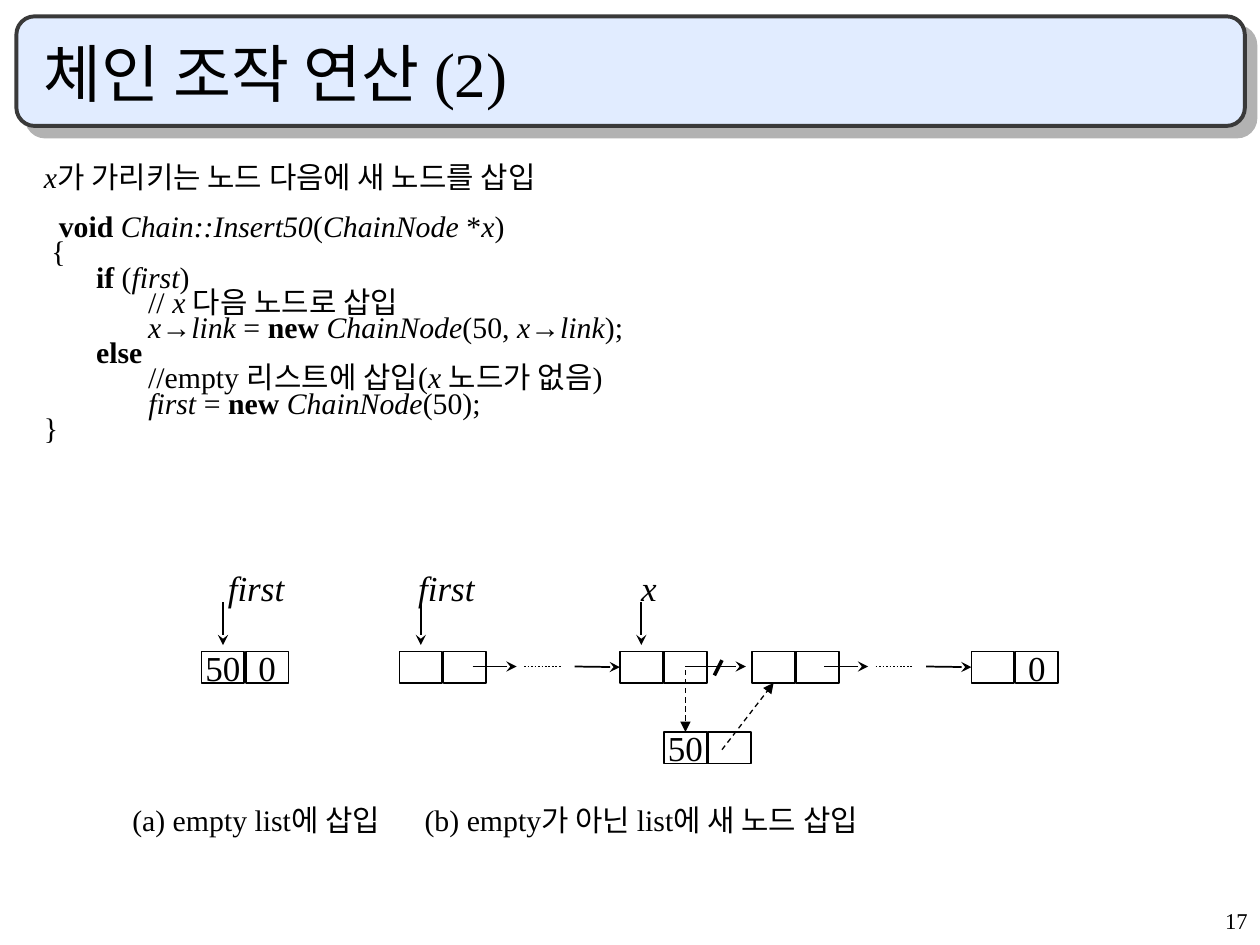
from lxml import etree
from pptx import Presentation, util as u
from pptx.dml.color import RGBColor
from pptx.enum import dml, shapes, text
from pptx.oxml import ns

HUES = {"ink": "000000", "band": "E1ECFF", "edge": "393939", "shade": "B2B2B2"}
FONT = "Times New Roman"
ALIGN = text.PP_ALIGN
STYLES = {"": {}, "b": {"bold": True}, "i": {"italic": True}}


def write(shape, lines, size, frame=None, para=None):
    """Fill a shape; each line is a list of (style, words) runs."""
    box = shape.text_frame
    form = {"word_wrap": True, "vertical_anchor": text.MSO_ANCHOR.TOP}
    for key, val in {**form, **(frame or {})}.items():
        setattr(box, key, val)
    for num, line in enumerate(lines):
        par = box.add_paragraph() if num else box.paragraphs[0]
        for key, val in (para or {}).items():
            if num or key != "space_before":
                setattr(par, key, val)
        for style, words in line:
            run = par.add_run()
            run.text = words
            look = {"name": FONT, "size": u.Pt(size), **STYLES[style]}
            for key, val in look.items():
                setattr(run.font, key, val)
            run.font.color.rgb = RGBColor.from_string(HUES["ink"])
    return box


def link(x1, y1, x2, y2, width=1, head=None, dash=None):
    """Draw a straight line, with an arrowhead if one is named."""
    ends = [u.Inches(val) for val in (x1, y1, x2, y2)]
    line = slide.shapes.add_connector(shapes.MSO_CONNECTOR.STRAIGHT, *ends)
    line.line.width = u.Pt(width)
    line.line.color.rgb = RGBColor.from_string(HUES["ink"])
    if dash:
        line.line.dash_style = dash
    props = line.line._get_or_add_ln()
    if head:
        etree.SubElement(props, ns.qn("a:tailEnd"), type=head)
    etree.SubElement(props.getparent(), ns.qn("a:effectLst"))
    return line


deck = Presentation()
deck.slide_width, deck.slide_height = u.Inches(10), u.Inches(7.5)
slide = deck.slides.add_slide(deck.slide_layouts[6])

# Title band with its shadow
band = slide.shapes.add_shape(
    shapes.MSO_SHAPE.ROUNDED_RECTANGLE,
    u.Inches(0.13), u.Inches(0.13), u.Inches(9.75), u.Inches(0.87))
band.fill.solid()
band.fill.fore_color.rgb = RGBColor.from_string(HUES["band"])
band.line.color.rgb = RGBColor.from_string(HUES["edge"])
band.line.width = u.Pt(2.25)
band.shadow.inherit = False
glow = etree.SubElement(
    band.fill._xPr.find(ns.qn("a:effectLst")), ns.qn("a:outerShdw"),
    dist=str(u.Pt(8.5)), dir="2700000", algn="ctr", rotWithShape="0")
etree.SubElement(glow, ns.qn("a:srgbClr"), val=HUES["shade"])

# Title, page number and diagram labels
CODE = [
    [("i", "x"), ("", "가 가리키는 노드 다음에 새 노드를 삽입")],
    [("", "  "), ("b", "void "), ("i", "Chain::Insert50"), ("", "("),
     ("i", "ChainNode"), ("", " *"), ("i", "x"), ("", ")")],
    [("", " {")],
    [("", "       "), ("b", "if"), ("", " ("), ("i", "first"), ("", ")")],
    [("", "              // "), ("i", "x "), ("", "다음 노드로 삽입")],
    [("i", "              x"), ("", "→"), ("i", "link"), ("", " = "),
     ("b", "new "), ("i", "ChainNode"), ("", "(50, "), ("i", "x→link"),
     ("", ");")],
    [("", "       "), ("b", "else")],
    [("", "              //empty 리스트에 삽입("), ("i", "x "),
     ("", "노드가 없음)")],
    [("", "              "), ("i", "first"), ("", " = "), ("b", "new "),
     ("i", "ChainNode"), ("", "(50);")],
    [("", "}")],
]
NOTE = [[("", "(a) empty list에 삽입\t(b) empty가 아닌 list에 새 노드 삽입")]]
LOOSE = {"word_wrap": False}
texts = [
    ((0.25, 0.25, 9.42, 0.67), [[("", "체인 조작 연산 (2)")]], 36,
     {"vertical_anchor": text.MSO_ANCHOR.BOTTOM}, None),
    ((7.92, 7.17, 2.08, 0.33), [[("", "17")]], 12.9, None,
     {"alignment": ALIGN.RIGHT, "line_spacing": 0.9}),
    ((0.25, 1.33, 9.42, 2.5), CODE, 17, None,
     {"line_spacing": 0.5, "space_before": u.Pt(4.2)}),
    ((1.71, 4.45, 0.65, 0.43), [[("i", "first")]], 20, LOOSE, None),
    ((3.22, 4.45, 0.65, 0.43), [[("i", "first")]], 20, LOOSE, None),
    ((4.99, 4.45, 0.33, 0.43), [[("i", "x")]], 20, LOOSE, None),
    ((0.9, 6.41, 7.54, 0.31), NOTE, 17, {"margin_left": u.Inches(0.15)},
     {"line_spacing": 0.6}),
]
boxes = []
for place, lines, size, frame, para in texts:
    box = slide.shapes.add_textbox(*[u.Inches(val) for val in place])
    boxes.append(write(box, lines, size, frame, para))

# Gap between the heading and the code; tab between the two captions
boxes[2].paragraphs[1].space_before = u.Pt(18.2)
props = boxes[-1].paragraphs[0]._p.get_or_add_pPr()
stops = etree.SubElement(props, ns.qn("a:tabLst"))
etree.SubElement(stops, ns.qn("a:tab"), pos=str(u.Inches(2.32)), algn="l")

# List nodes: a data cell and a link cell each
ROW, LOW, STEP = 5.17, 5.81, 0.35
nodes = {
    "lone": (1.6, ROW, "50", "0"),
    "first": (3.17, ROW, "", ""),
    "x": (4.92, ROW, "", ""),
    "next": (5.97, ROW, "", ""),
    "last": (7.71, ROW, "", "0"),
    "new": (5.27, LOW, "50", ""),
}
cells = {}
for name, (left, top, *words) in nodes.items():
    for col, word in enumerate(words):
        cell = slide.shapes.add_shape(
            shapes.MSO_SHAPE.RECTANGLE, u.Inches(left + col * STEP),
            u.Inches(top), u.Inches(0.34), u.Inches(0.25))
        cell.fill.background()
        cell.line.color.rgb = RGBColor.from_string(HUES["ink"])
        cell.line.width = u.Pt(1)
        cell.shadow.inherit = False
        if word:
            write(cell, [[("", word)]], 20,
                  {"word_wrap": False,
                   "vertical_anchor": text.MSO_ANCHOR.MIDDLE},
                  {"alignment": ALIGN.CENTER})
        cells[name, col] = cell

# Pointers down to the named nodes
for left in (1.77, 3.34, 5.09):
    link(left, 4.78, left, 5.12, head="stealth")

# Chain links, with dots for the nodes left out
MID = 5.29
for left, goal in ((3.75, "x"), (6.54, "last")):
    link(left, MID, left + 0.35, MID, head="stealth")
    link(left + 0.41, MID, left + 0.7, MID,
         dash=dml.MSO_LINE.ROUND_DOT)
    join = link(left + 0.81, MID, left + 1.16, MID, head="stealth")
    join.end_connect(cells[goal, 0], 1)

# Old link, struck out
link(5.44, MID, 5.92, MID, head="stealth")
link(5.73, 5.24, 5.67, 5.36, width=2)

# New links through the inserted node
DASH = dml.MSO_LINE.DASH
down = link(5.44, 5.32, 5.44, LOW, 0.75, "triangle", DASH)
down.end_connect(cells["new", 0], 0)
back = link(5.73, 5.95, 6.14, 5.42, 0.75, "triangle", DASH)
back.end_connect(cells["next", 0], 2)

deck.save("out.pptx")
